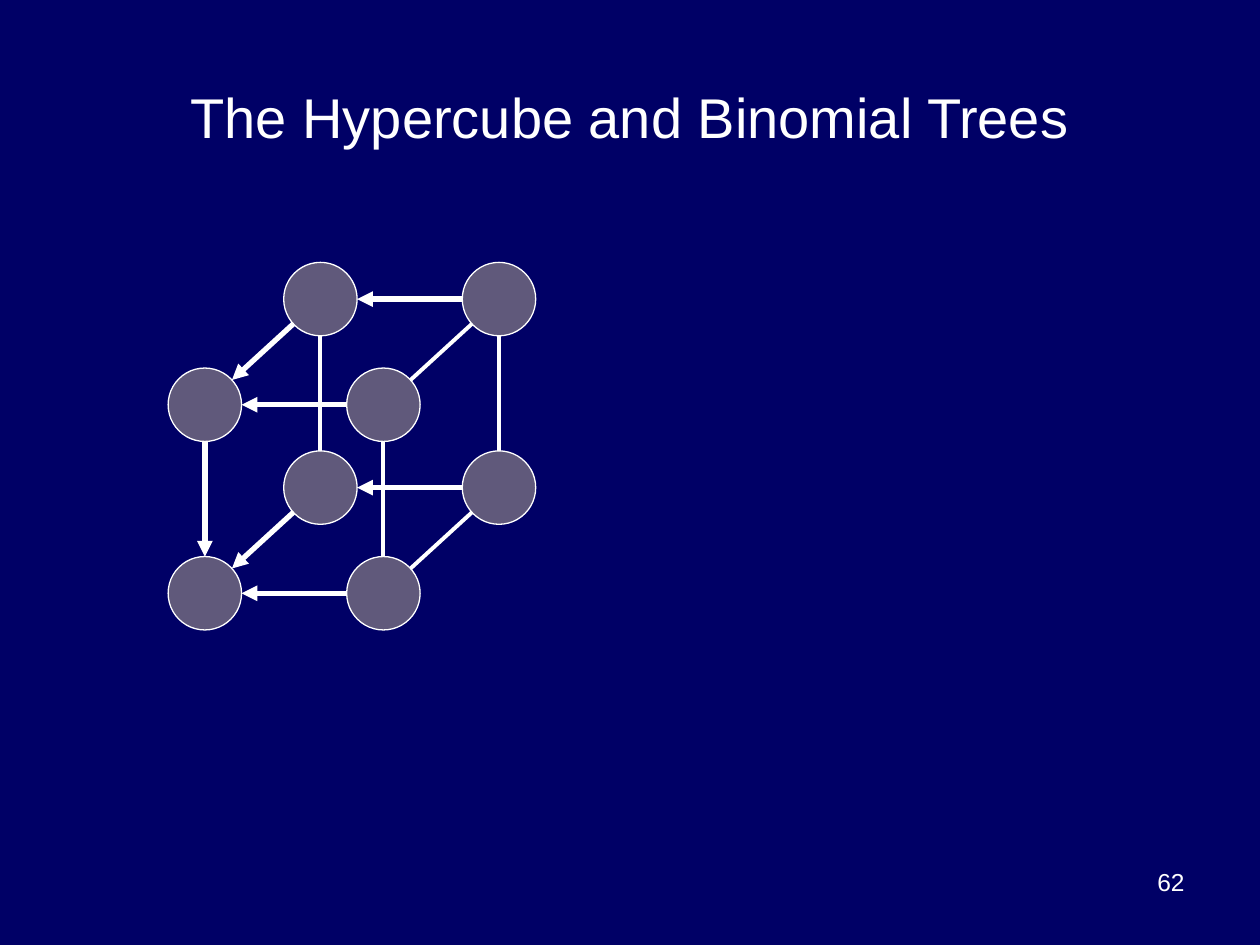
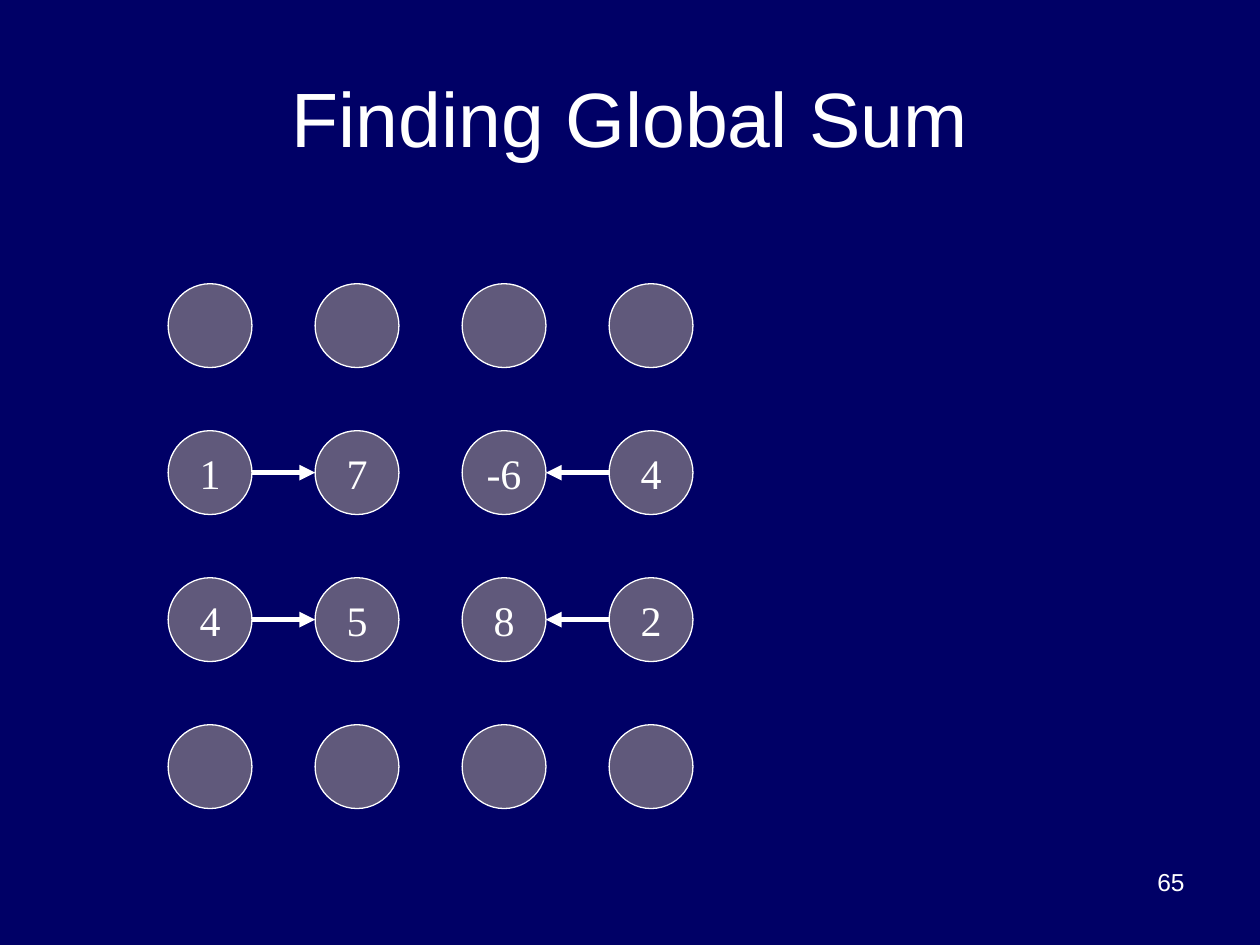
"""Builds two slides on hypercube broadcasts and global sums."""
from collections import namedtuple
from dataclasses import dataclass
from itertools import product
from math import hypot

from lxml import etree
from pptx import Presentation
from pptx.dml.color import RGBColor
from pptx.enum.shapes import MSO_CONNECTOR, MSO_SHAPE
from pptx.enum.text import MSO_ANCHOR, PP_ALIGN
from pptx.oxml.ns import qn
from pptx.util import Cm, Pt

STRAIGHT = MSO_CONNECTOR.STRAIGHT
OVAL = MSO_SHAPE.OVAL
MIDDLE = MSO_ANCHOR.MIDDLE
CENTER, RIGHT = PP_ALIGN.CENTER, PP_ALIGN.RIGHT

Box = namedtuple("Box", "left top width height")
TITLE_BOX = Box(1.27, 0.76, 22.86, 3.18)
NUMBER_BOX = Box(18.21, 17.35, 5.92, 1.32)
CUBE_BOX = Box(3.39, 5.29, 7.41, 7.41)
GRID_BOX = Box(3.39, 5.72, 10.58, 10.58)
TITLE_ONLY = 5


@dataclass(frozen=True)
class Theme:
    """Colours, fonts, type sizes and line widths of the deck."""
    background: RGBColor = RGBColor(0x00, 0x00, 0x66)
    ink: RGBColor = RGBColor(0xFF, 0xFF, 0xFF)
    node: RGBColor = RGBColor(0x60, 0x59, 0x7B)
    heading_font: str = "Arial"
    value_font: str = "Times New Roman"
    title: int = 44
    long_title: int = 32
    value: int = 24
    number: int = 14
    outline: float = 0.75
    edge: float = 2.25
    arrow: float = 3


THEME = Theme()


def place(box):
    """Return the box as four lengths."""
    return [Cm(length) for length in box]


def write(frame, text, size, font, align):
    """Set one line of text in a frame and format it."""
    frame.text = text
    line = frame.paragraphs[0]
    line.alignment = align
    style = line.runs[0].font
    style.size, style.name = Pt(size), font
    style.color.rgb = THEME.ink


def add_slide(prs, title, title_size, number):
    """Add a slide with its title and number."""
    slide = prs.slides.add_slide(prs.slide_layouts[TITLE_ONLY])
    heading = slide.shapes.title
    heading.left, heading.top, heading.width, heading.height = place(TITLE_BOX)
    heading.text_frame.vertical_anchor = MIDDLE
    write(heading.text_frame, title, title_size, THEME.heading_font, CENTER)
    page = slide.shapes.add_textbox(*place(NUMBER_BOX)).text_frame
    page.word_wrap = True
    write(page, number, THEME.number, THEME.heading_font, RIGHT)
    return slide


def add_node(slide, center, diameter, value=""):
    """Draw a processor around its centre, with its value if it has one."""
    x, y = center
    box = Box(x - diameter / 2, y - diameter / 2, diameter, diameter)
    node = slide.shapes.add_shape(OVAL, *place(box))
    node.shadow.inherit = False
    node.fill.solid()
    node.fill.fore_color.rgb = THEME.node
    node.line.color.rgb = THEME.ink
    node.line.width = Pt(THEME.outline)
    if value:
        node.text_frame.word_wrap = False
        node.text_frame.vertical_anchor = MIDDLE
        write(node.text_frame, value, THEME.value, THEME.value_font, CENTER)


def add_link(slide, source, target, diameter, arrow=True):
    """Join the rims of two nodes, with an arrowhead at the target if asked."""
    (x1, y1), (x2, y2) = source, target
    trim = diameter / 2 / hypot(x2 - x1, y2 - y1)
    dx, dy = (x2 - x1) * trim, (y2 - y1) * trim
    ends = x1 + dx, y1 + dy, x2 - dx, y2 - dy
    link = slide.shapes.add_connector(STRAIGHT, *place(ends))
    link.line.color.rgb = THEME.ink
    link.line.width = Pt(THEME.arrow if arrow else THEME.edge)
    properties = link._element.spPr
    if arrow:
        etree.SubElement(properties.find(qn("a:ln")), qn("a:tailEnd"), type="triangle")
    etree.SubElement(properties, qn("a:effectLst"))


def draw_hypercube(slide, box):
    """Draw a cube of eight nodes whose arrows form a binomial tree."""
    diameter, depth_x, depth_y = 1.48, 2.33, 2.13
    step_x = box.width - diameter - depth_x
    step_y = box.height - diameter - depth_y
    centers = {
        (column, row, back): (
            box.left + diameter / 2 + column * step_x + back * depth_x,
            box.top + diameter / 2 + row * step_y + (1 - back) * depth_y,
        )
        for column, row, back in product((0, 1), repeat=3)
    }
    for center in centers.values():
        add_node(slide, center, diameter)
    for a, b in product((0, 1), repeat=2):
        edges = (
            ((1, a, b), (0, a, b), True),
            ((a, b, 1), (a, b, 0), a == 0),
            ((a, 0, b), (a, 1, b), a == b == 0),
        )
        for source, target, in_tree in edges:
            add_link(slide, centers[source], centers[target], diameter, in_tree)


def draw_sum_grid(slide, box, values, transfers):
    """Draw a square grid of values with transfers along its filled rows."""
    diameter = 1.69
    pitch = (box.width - diameter) / (len(values) - 1)

    def center(row, column):
        """Return the centre of a grid position."""
        return (box.left + diameter / 2 + column * pitch,
                box.top + diameter / 2 + row * pitch)

    for row, row_values in enumerate(values):
        for column, value in enumerate(row_values):
            add_node(slide, center(row, column), diameter, value)
        if any(row_values):
            for source, target in transfers:
                add_link(slide, center(row, source), center(row, target), diameter)


def main():
    """Build and save the deck."""
    prs = Presentation()
    prs.slide_width, prs.slide_height = Cm(25.4), Cm(19.05)
    backdrop = prs.slide_master.background.fill
    backdrop.solid()
    backdrop.fore_color.rgb = THEME.background

    cube = add_slide(prs, "The Hypercube and Binomial Trees", THEME.long_title, "62")
    draw_hypercube(cube, CUBE_BOX)

    global_sum = add_slide(prs, "Finding Global Sum", THEME.title, "65")
    idle = [""] * 4
    partial_sums = [idle, ["1", "7", "-6", "4"], ["4", "5", "8", "2"], idle]
    draw_sum_grid(global_sum, GRID_BOX, partial_sums, transfers=[(0, 1), (3, 2)])

    prs.save("out.pptx")


if __name__ == "__main__":
    main()
